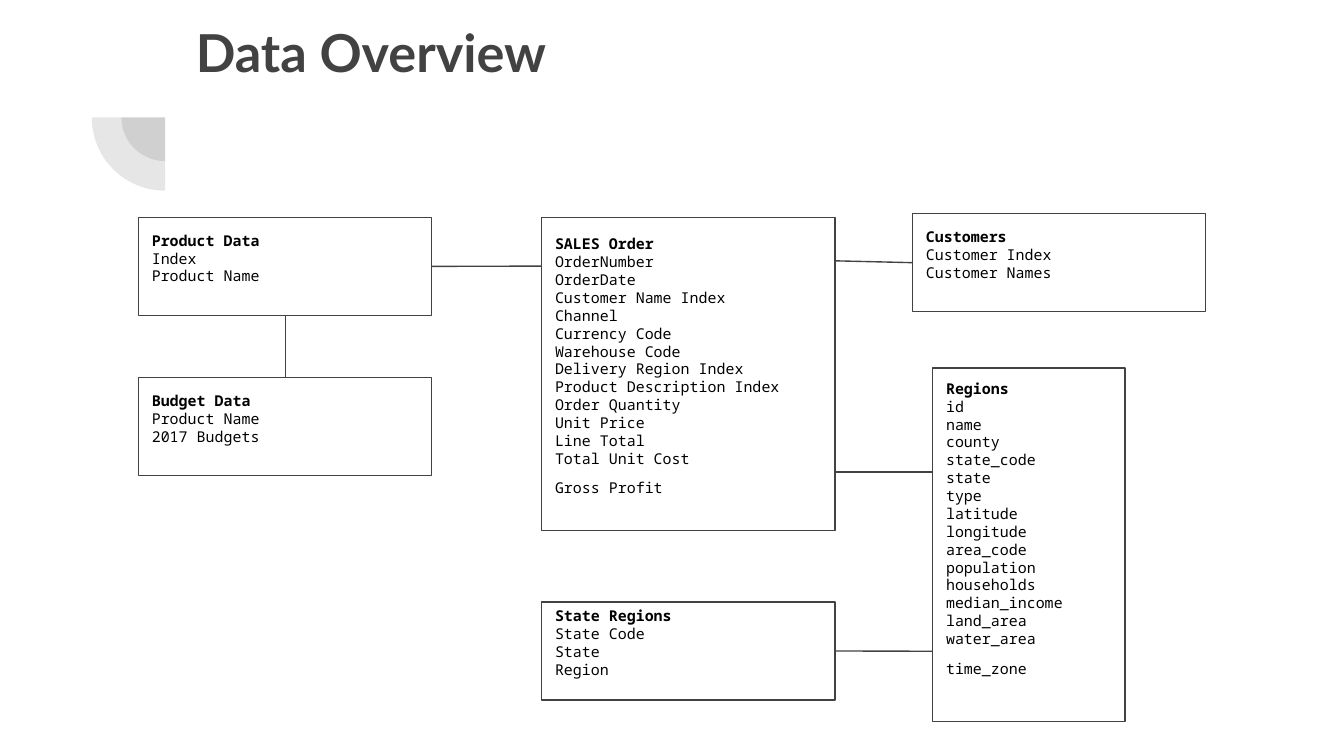
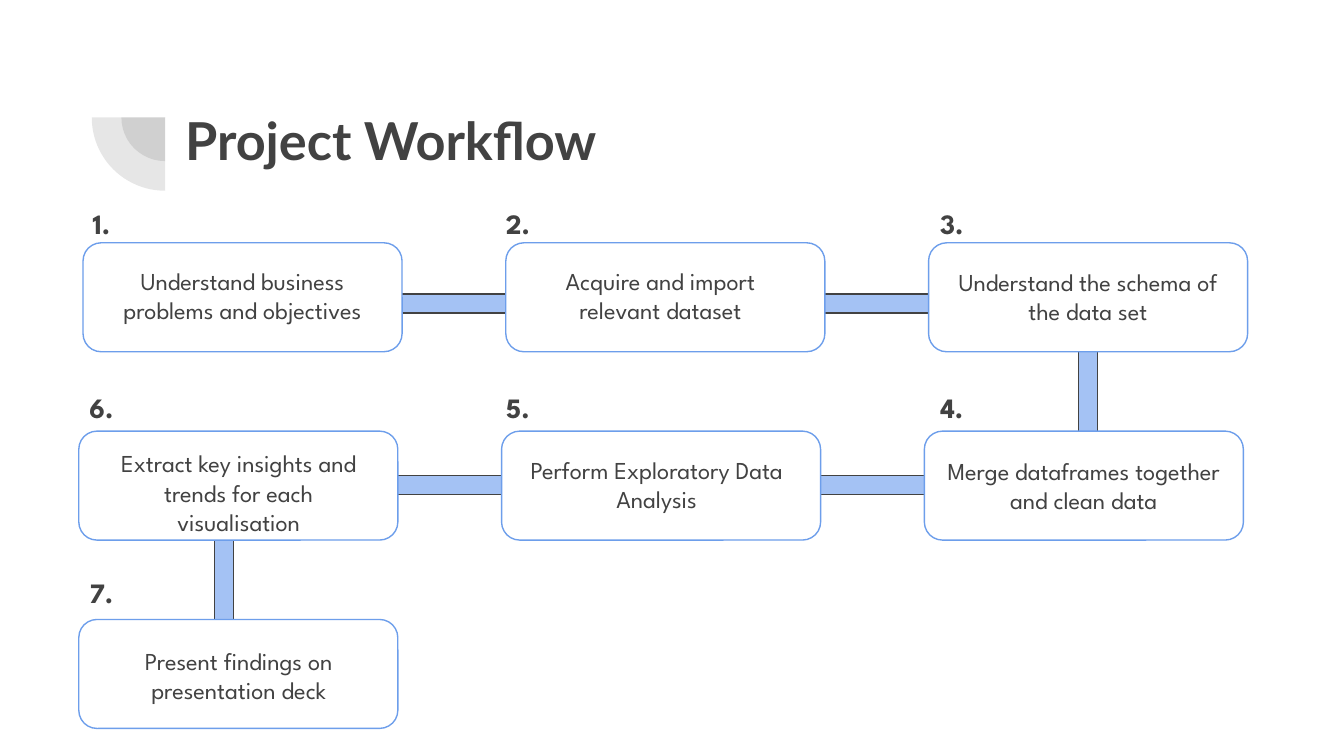
from lxml import etree
from pptx import Presentation
from pptx.dml.color import RGBColor
from pptx.enum import shapes, text
from pptx.oxml.ns import qn
from pptx.util import Cm, Pt

# Content: tables of the data model as name, left, top, width, height, fields
TABLES = [
    ("SALES Order", 10.24, 4.11, 5.54, 5.92,
     ["OrderNumber", "OrderDate", "Customer Name Index", "Channel",
      "Currency Code", "Warehouse Code", "Delivery Region Index",
      "Product Description Index", "Order Quantity", "Unit Price",
      "Line Total", "Total Unit Cost", "Gross Profit"]),
    ("Customers", 17.25, 4.04, 5.54, 1.85, ["Customer Index", "Customer Names"]),
    ("Regions", 17.63, 6.96, 3.63, 6.68,
     ["id", "name", "county", "state_code", "state", "type", "latitude",
      "longitude", "area_code", "population", "households", "median_income",
      "land_area", "water_area", "time_zone"]),
    ("State Regions", 10.24, 11.38, 5.54, 1.85, ["State Code", "State", "Region"]),
    ("Product Data", 2.62, 4.11, 5.54, 1.85, ["Index", "Product Name"]),
    ("Budget Data", 2.62, 7.14, 5.54, 1.85, ["Product Name", "2017 Budgets"]),
]
SPACED_LAST = {"SALES Order", "Regions"}   # last field stands apart
BOTTOM_INSET = {"Regions": 0.88}           # lifts the centred text
# An end is a table with a side (0 top, 1 left, 2 bottom, 3 right) or a point
LINKS = [
    ((15.78, 4.93), ("Customers", 1)),
    ((15.8, 8.92), (17.63, 8.92)),
    (("State Regions", 3), (17.63, 12.31)),
    (("Product Data", 2), ("Budget Data", 0)),
    (("Product Data", 3), (10.24, 5.03)),
]

# Content: workflow steps as row, column, text, text left, text top
STEPS = [
    (0, 0, "Understand business problems and objectives", 1.75, 4.78),
    (0, 1, "Acquire and import relevant dataset", 9.65, 4.78),
    (0, 2, "Understand the schema of the data set", 17.73, 4.8),
    (1, 2, "Merge dataframes together and clean data", 17.65, 8.38),
    (1, 1, "Perform Exploratory Data Analysis", 9.58, 8.36),
    (1, 0, "Extract key insights and trends for each visualisation", 1.68, 8.23),
    (2, 0, "Present findings on presentation deck", 1.68, 11.96),
]
BAR = 0.36
BARS = [(4.05, 8.85, BAR, 4.65), (2.54, 8.99, 18.24, BAR),
        (20.38, 5.22, BAR, 4.65), (1.68, 5.56, 18.24, BAR)]
ROW_LEFT = [1.57, 1.49, 1.49]
NUMBER_LEFT = [1.3, 9.17, 17.37]

INK, WHITE, BLUE, PALE_BLUE = "424242", "FFFFFF", "6D9EEB", "A4C2F4"
KIND = shapes.MSO_SHAPE
ALIGN, ANCHOR = text.PP_ALIGN, text.MSO_ANCHOR


def rgb(value):
    return RGBColor.from_string(value)


def write(sp, lines, font, size, color=INK, bold=False, bold_first=False,
          align=ALIGN.LEFT, anchor=ANCHOR.TOP, bottom=0.25, grow=False,
          last_spacing=None):
    tf = sp.text_frame
    tf.word_wrap = True
    tf.auto_size = (text.MSO_AUTO_SIZE.SHAPE_TO_FIT_TEXT if grow
                    else text.MSO_AUTO_SIZE.NONE)
    tf.vertical_anchor = anchor
    tf.margin_left = tf.margin_right = tf.margin_top = Cm(0.25)
    tf.margin_bottom = Cm(bottom)
    for i, line in enumerate(lines):
        p = tf.paragraphs[0] if i == 0 else tf.add_paragraph()
        p.alignment = align
        r = p.add_run()
        r.text = line
        r.font.name, r.font.size = font, Pt(size)
        r.font.bold = bold or (bold_first and i == 0)
        r.font.color.rgb = rgb(color)
    if last_spacing:
        p.line_spacing = last_spacing


def add_block(s, kind, left, top, width, height, fill=WHITE, line=INK):
    sp = s.shapes.add_shape(kind, Cm(left), Cm(top), Cm(width), Cm(height))
    sp.shadow.inherit = False
    sp.fill.solid()
    sp.fill.fore_color.rgb = rgb(fill)
    if line:
        sp.line.color.rgb = rgb(line)
        sp.line.width = Pt(0.75)
    else:
        sp.line.fill.background()
    return sp


def add_label(s, left, top, width, height, words, size, bold=False):
    sp = s.shapes.add_textbox(Cm(left), Cm(top), Cm(width), Cm(height))
    write(sp, [words], "League Spartan", size, bold=bold,
          align=ALIGN.CENTER, grow=True)


def add_slide(prs, layout, title, left, top):
    s = prs.slides.add_slide(layout)
    sp = s.shapes.title
    sp.left, sp.top, sp.width, sp.height = Cm(left), Cm(top), Cm(19.53), Cm(2.77)
    write(sp, [title], "Lato", 28, bold=True)
    return s


def decorate_layout(s, layout):
    """Draw the quarter circles and move them to the shared layout."""
    for size in (1.65, 2.77):
        sp = add_block(s, KIND.PIE, 3.12 - size / 2, 2.22 - size / 2,
                       size, size, INK, None)
        sp.adjustments[0], sp.adjustments[1] = 108, 162
        sp.rotation = 270
        color = sp.fill._xPr.find(qn("a:solidFill"))[0]
        etree.SubElement(color, qn("a:alpha"), val="13000")
        layout.shapes.element.append(sp.element)


def add_link(s, boxes, start, end):
    def joined(place):
        return isinstance(place[0], str)

    x1, y1 = (0, 0) if joined(start) else start
    x2, y2 = (0, 0) if joined(end) else end
    line = s.shapes.add_connector(shapes.MSO_CONNECTOR.STRAIGHT,
                                  Cm(x1), Cm(y1), Cm(x2), Cm(y2))
    if joined(start):
        line.begin_connect(boxes[start[0]], start[1])
    if joined(end):
        line.end_connect(boxes[end[0]], end[1])
    line.line.color.rgb = rgb(INK)
    line.line.width = Pt(0.75)
    etree.SubElement(line.element.spPr, qn("a:effectLst"))


def build_overview(s):
    boxes = {}
    for name, left, top, width, height, fields in TABLES:
        sp = boxes[name] = add_block(s, KIND.RECTANGLE, left, top, width, height)
        write(sp, [name] + fields, "Noto Sans Mono", 8, "000000",
              bold_first=True, anchor=ANCHOR.MIDDLE,
              bottom=BOTTOM_INSET.get(name, 0.56),
              last_spacing=1.65 if name in SPACED_LAST else None)
    for start, end in LINKS:
        add_link(s, boxes, start, end)


def build_workflow(s):
    # Bars run behind the step boxes
    for bar in BARS:
        add_block(s, KIND.RECTANGLE, *bar, fill=PALE_BLUE)
    for number, (row, col, words, left, top) in enumerate(STEPS, 1):
        add_block(s, KIND.ROUNDED_RECTANGLE, ROW_LEFT[row] + 7.99 * col,
                  4.59 + 3.56 * row, 6.03, 2.06, line=BLUE)
        add_label(s, left, top, 5.66, 1.63, words, 13)
        add_label(s, NUMBER_LEFT[col], 3.66 + 3.48 * row, 1.24, 1.14,
                  f"{number}.", 15, bold=True)


def main():
    prs = Presentation()
    prs.slide_width, prs.slide_height = Cm(25.4), Cm(14.29)
    layout = prs.slide_layouts[5]
    overview = add_slide(prs, layout, "Data Overview", 3.45, 0.13)
    decorate_layout(overview, layout)
    build_overview(overview)
    build_workflow(add_slide(prs, layout, "Project Workflow", 3.25, 1.8))
    prs.save("out.pptx")


if __name__ == "__main__":
    main()
